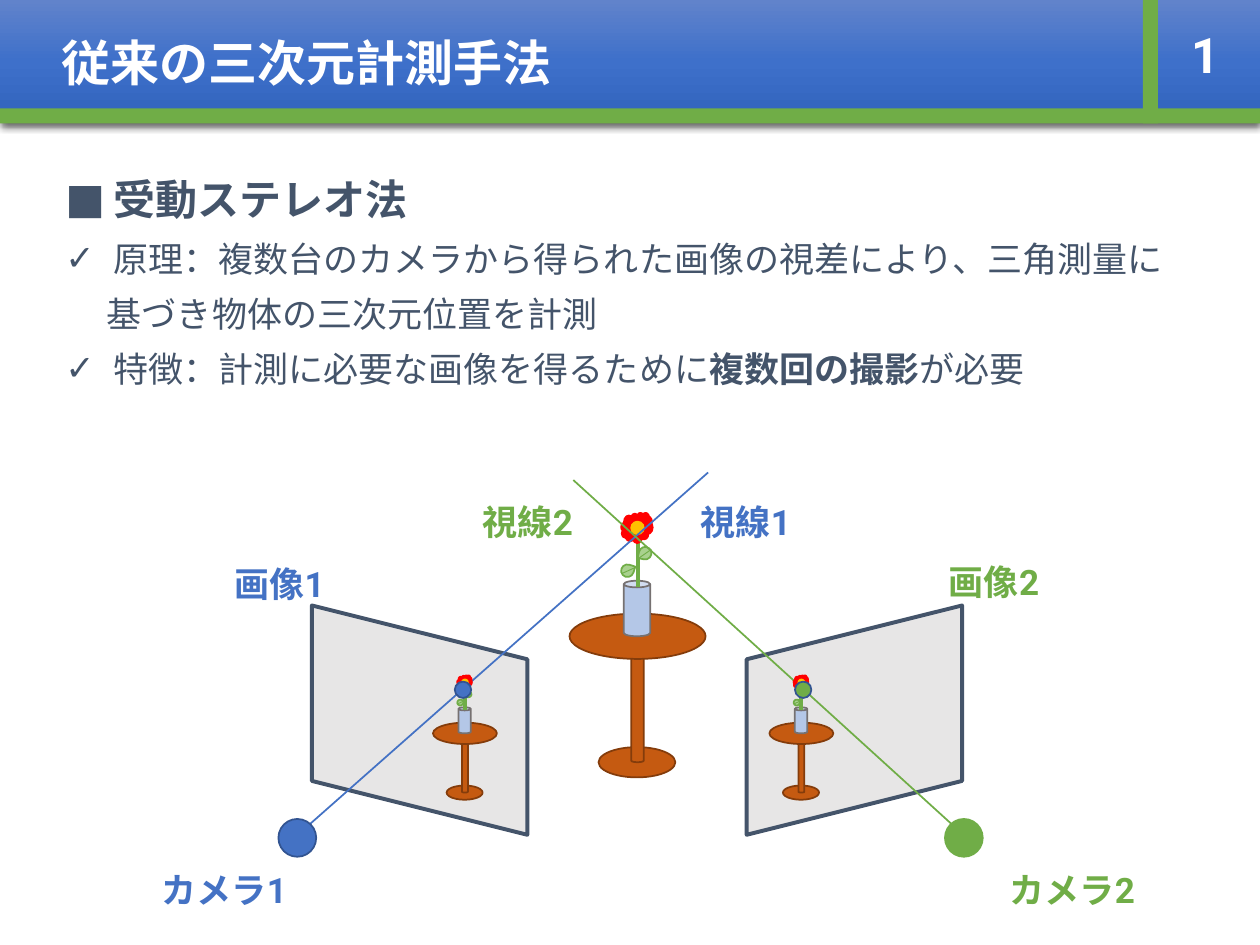
from copy import deepcopy

from lxml.etree import SubElement
from pptx import Presentation
from pptx.dml.color import RGBColor
from pptx.enum.shapes import MSO_CONNECTOR, MSO_SHAPE as Kind
from pptx.enum.text import MSO_ANCHOR as Anchor, PP_ALIGN as Align
from pptx.oxml.ns import qn
from pptx.util import Inches, Pt

FONT = "Roboto"
WHITE = RGBColor(0xFF, 0xFF, 0xFF)
BLUE = RGBColor(0x44, 0x72, 0xC4)
NAVY = RGBColor(0x32, 0x54, 0x91)
GREEN = RGBColor(0x70, 0xAD, 0x47)
LEAF = RGBColor(0xA9, 0xD1, 0x8E)
SLATE = RGBColor(0x44, 0x54, 0x6A)
PALE = RGBColor(0xE7, 0xE6, 0xE6)
WOOD = RGBColor(0xC5, 0x5A, 0x11)
BARK = RGBColor(0x84, 0x3C, 0x0B)
GLASS = RGBColor(0xB4, 0xC7, 0xE7)
GREY = RGBColor(0x76, 0x71, 0x71)
RED = RGBColor(0xFF, 0x00, 0x00)
GOLD = RGBColor(0xFF, 0xC0, 0x00)
SHADES = (RGBColor(0x61, 0x83, 0xCB), RGBColor(0x3E, 0x70, 0xCA),
          RGBColor(0x30, 0x62, 0xBB))


def add_shape(shapes, kind, box, fill, edge=None, width=1, turn=0):
    shape = shapes.add_shape(kind, *map(Inches, box))
    shape.shadow.inherit = False
    shape.rotation = turn
    shape.fill.solid()
    shape.fill.fore_color.rgb = fill
    if edge is None:
        shape.line.fill.background()
    else:
        shape.line.color.rgb = edge
        shape.line.width = Pt(width)
    return shape


def add_line(shapes, start, end, color, width=1):
    line = shapes.add_connector(MSO_CONNECTOR.STRAIGHT,
                                *map(Inches, (*start, *end)))
    line.line.color.rgb = color
    line.line.width = Pt(width)
    SubElement(line._element.spPr, qn("a:effectLst"))


def add_run(para, text, size, color, bold=True):
    run = para.add_run()
    run.text = text
    font = run.font
    font.name, font.size, font.bold = FONT, Pt(size), bold
    font.color.rgb = color
    SubElement(run._r.get_or_add_rPr(), qn("a:ea"), typeface=FONT)


def add_box(shapes, box):
    frame = shapes.add_textbox(*map(Inches, box)).text_frame
    frame.word_wrap = True
    return frame


def add_label(shapes, left, top, text, color):
    para = add_box(shapes, (left, top, 1.74, 0.47)).paragraphs[0]
    para.alignment = Align.CENTER
    para.line_spacing = 0.9
    para.space_before = Pt(7.5)
    add_run(para, text, 20, color)


def set_indent(para, left, mark=None):
    props = para._p.get_or_add_pPr()
    props.set("marL", str(Inches(left)))
    if mark:
        props.set("indent", str(-Inches(left)))
        SubElement(props, qn("a:buFont"), typeface=FONT)
        SubElement(props, qn("a:buChar"), char=mark)


def shade_band(band):
    """Give the band its three-step gradient and its soft shadow."""
    band.fill.gradient()
    band.fill.gradient_angle = 270
    stops = band._element.spPr.find(qn("a:gradFill")).find(qn("a:gsLst"))
    stops.append(deepcopy(stops[-1]))
    for stop, place, color in zip(band.fill.gradient_stops, (0, 0.5, 1), SHADES):
        stop.position = place
        stop.color.rgb = color
    effects = band._element.spPr.find(qn("a:effectLst"))
    shadow = SubElement(effects, qn("a:outerShdw"), blurRad=str(Pt(4.5)),
                        dist=str(Pt(1.5)), dir="5400000", algn="t",
                        rotWithShape="0")
    tint = SubElement(shadow, qn("a:srgbClr"), val="000000")
    SubElement(tint, qn("a:alpha"), val="63000")


def add_header(shapes):
    band = add_shape(shapes, Kind.RECTANGLE, (0, 0, 10, 0.98), BLUE)
    shade_band(band)
    frame = band.text_frame
    frame.margin_left = Inches(0.49)
    frame.vertical_anchor = Anchor.MIDDLE
    frame.paragraphs[0].alignment = Align.LEFT
    add_run(frame.paragraphs[0], "従来の三次元計測手法", 28, WHITE)
    add_shape(shapes, Kind.RECTANGLE, (0, 0.86, 10, 0.12), GREEN)
    frame = add_box(shapes, (9.13, 0, 0.87, 0.86))
    frame.vertical_anchor = Anchor.MIDDLE
    frame.paragraphs[0].alignment = Align.CENTER
    add_run(frame.paragraphs[0], "1", 28, WHITE)
    add_shape(shapes, Kind.RECTANGLE, (9.07, 0, 0.12, 0.98), GREEN)


def add_body(shapes):
    rows = (
        (0.38, "■", 24, (("受動ステレオ法", True),)),
        (0.38, "✓", 20,
         (("原理：複数台のカメラから得られた画像の視差により、三角測量に", False),)),
        (0.33, None, 20, (("基づき物体の三次元位置を計測", False),)),
        (0.38, "✓", 20, (("特徴：計測に必要な画像を得るために", False),
                         ("複数回の撮影", True), ("が必要", False))),
    )
    frame = add_box(shapes, (0.42, 1.37, 9.15, 2.04))
    for num, (left, mark, size, runs) in enumerate(rows):
        para = frame.add_paragraph() if num else frame.paragraphs[0]
        para.space_before = Pt(7.5)
        if num == 0:
            para.line_spacing = 0.9
        set_indent(para, left, mark)
        for text, bold in runs:
            add_run(para, text, size, SLATE, bold)


def add_flower(shapes, mid, top, scale=1):
    """Draw the table, vase and flower around a middle line, from the top."""
    group = shapes.add_group_shape().shapes

    def spot(x, y):
        return mid + x * scale, top + y * scale

    def part(kind, x, y, wide, high, fill, edge, turn=0):
        box = (*spot(x, y), wide * scale, high * scale)
        add_shape(group, kind, box, fill, edge, turn=turn)

    def stroke(start, end, width):
        add_line(group, spot(*start), spot(*end), GREEN, width)

    part(Kind.OVAL, -0.31, 1.86, 0.61, 0.24, WOOD, BARK)
    part(Kind.CAN, -0.05, 0.98, 0.1, 1, WOOD, BARK)
    part(Kind.OVAL, -0.54, 0.8, 1.08, 0.36, WOOD, BARK)
    part(Kind.CAN, -0.11, 0.54, 0.21, 0.44, GLASS, GREY)
    stroke((0, 0.14), (0, 0.59), 2.25)
    part(Kind.CLOUD, -0.13, 0, 0.25, 0.24, RED, RED)
    part(Kind.TEAR, -0.13, 0.41, 0.1, 0.1, LEAF, GREEN, 17.4)
    part(Kind.TEAR, 0.01, 0.27, 0.1, 0.1, LEAF, GREEN, 192)
    stroke((-0.01, 0.43), (-0.12, 0.48), 0.5)
    stroke((0.11, 0.29), (0.01, 0.36), 0.5)
    part(Kind.OVAL, -0.05, 0.07, 0.1, 0.1, GOLD, GOLD)


def add_dot(shapes, left, top, size, fill, edge):
    add_shape(shapes, Kind.OVAL, (left, top, size, size), fill, edge)


def add_scene(shapes):
    for left, turn in ((2.42, 90), (5.87, 270)):
        plane = add_shape(shapes, Kind.PARALLELOGRAM, (left, 4.86, 1.82, 1.71),
                          PALE, SLATE, 2.25, turn)
        if turn == 270:
            plane._element.spPr.find(qn("a:xfrm")).set("flipH", "1")
    add_flower(shapes, 5.06, 4.07)
    add_line(shapes, (5.62, 3.75), (2.37, 6.62), BLUE)
    add_line(shapes, (4.55, 3.81), (7.64, 6.62), GREEN)
    add_dot(shapes, 2.21, 6.5, 0.3, BLUE, NAVY)
    add_dot(shapes, 7.5, 6.5, 0.3, GREEN, GREEN)
    for left, top, text, color in (
            (7.64, 6.88, "カメラ2", GREEN), (0.91, 6.88, "カメラ1", BLUE),
            (1.35, 4.45, "画像1", BLUE), (7.02, 4.44, "画像2", GREEN),
            (5.05, 3.96, "視線1", BLUE), (3.32, 3.96, "視線2", GREEN)):
        add_label(shapes, left, top, text, color)
    for mid, left, color in ((3.69, 3.61, BLUE), (6.36, 6.31, GREEN)):
        add_flower(shapes, mid, 5.36, 0.47)
        add_dot(shapes, left, 5.41, 0.13, color, NAVY)


def main():
    deck = Presentation()
    deck.slide_width, deck.slide_height = Inches(10), Inches(7.5)
    shapes = deck.slides.add_slide(deck.slide_layouts[6]).shapes
    add_header(shapes)
    add_body(shapes)
    add_scene(shapes)
    deck.save("out.pptx")


if __name__ == "__main__":
    main()
